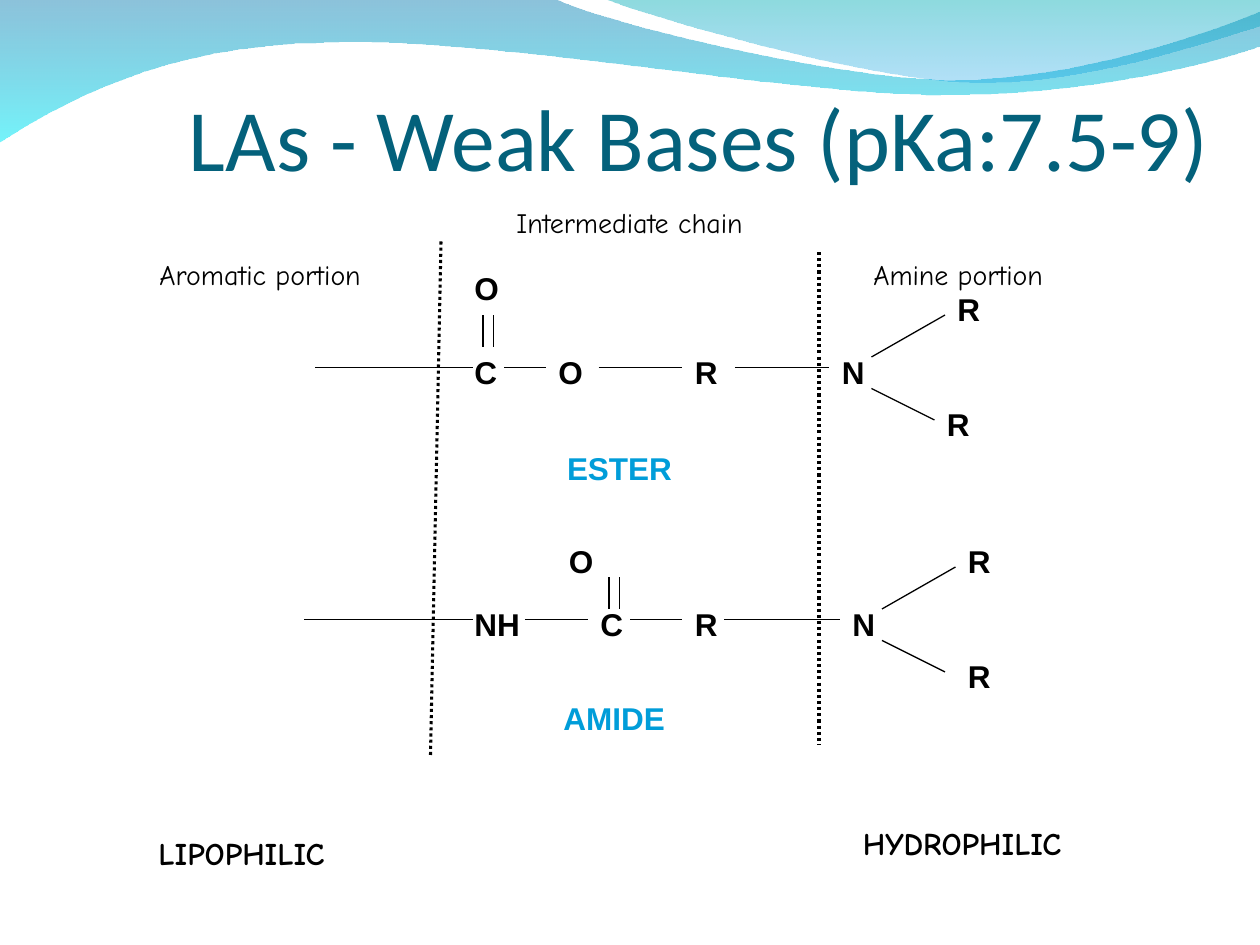
from lxml import etree
from pptx import Presentation
from pptx.dml.color import RGBColor
from pptx.enum.dml import MSO_LINE
from pptx.enum.shapes import MSO_CONNECTOR
from pptx.enum.text import MSO_ANCHOR, PP_ALIGN
from pptx.oxml.ns import qn
from pptx.util import Cm, Pt

STRAIGHT = MSO_CONNECTOR.STRAIGHT
DOTTED = MSO_LINE.ROUND_DOT
BOTTOM = MSO_ANCHOR.BOTTOM
LEFT, CENTER = PP_ALIGN.LEFT, PP_ALIGN.CENTER

BLACK, TEAL, BLUE = "000000", "04617B", "009DD9"
ATOM_HEIGHT = 4.8

# Each segment is a line (one point) or a cubic curve (three points), in cm.
BACK_WAVE = [
    [(11.18, -0.03)],
    [(12.09, 0.43), (16.87, 1.6), (19.25, 1.6)],
    [(21.67, 1.6), (24.33, 0.66), (25.4, 0.23)],
    [(25.43, 0.91)],
    [(24.97, 1.12), (22.1, 1.93), (18.95, 1.91)],
    [(15.8, 1.91), (9.7, 0.71), (6.53, 0.86)],
    [(3.28, 0.89), (1.17, 2.11), (-0.03, 2.87)],
]
FRONT_WAVE = [
    [(12.93, 0.28), (17.32, 1.57), (19.53, 1.65)],
    [(21.74, 1.75), (24.41, 0.81), (25.4, 0.53)],
    [(25.4, 0)],
]


def color(hex_string):
    return RGBColor.from_string(hex_string)


def grid(steps):
    """Length of a number of grid steps, 12 to the inch."""
    return Cm(steps * 2.54 / 12)


def bend_sides(shape, segments):
    """Turn the straight sides that have control points into cubic curves."""
    sides = list(shape.element.spPr.iter(qn("a:lnTo")))
    for side, segment in zip(sides, segments):
        if len(segment) == 1:
            continue
        side.tag = qn("a:cubicBezTo")
        for index, (x, y) in enumerate(segment[:-1]):
            point = side.makeelement(qn("a:pt"), {"x": str(Cm(x) - shape.left),
                                                  "y": str(Cm(y) - shape.top)})
            side.insert(index, point)


def add_wave(page, start, segments, stops):
    """Fill an outline from top to bottom; stops are (colour, opacity in percent)."""
    builder = page.shapes.build_freeform(Cm(start[0]), Cm(start[1]), scale=1.0)
    corners = [segment[-1] for segment in segments]
    builder.add_line_segments([(Cm(x), Cm(y)) for x, y in corners], close=True)
    wave = builder.convert_to_shape()
    bend_sides(wave, segments)
    wave.shadow.inherit = False
    wave.line.fill.background()
    wave.fill.gradient()
    wave.fill.gradient_angle = 270
    for stop, (shade, _) in zip(wave.fill.gradient_stops, stops):
        stop.color.rgb = color(shade)
    for node, (_, opacity) in zip(wave.element.spPr.iter(qn("a:srgbClr")), stops):
        etree.SubElement(node, qn("a:alpha")).set("val", str(opacity * 1000))


def add_text(page, box, text, size=18, font="Arial", shade=BLACK, bold=True, align=LEFT):
    shape = page.shapes.add_textbox(*map(grid, box))
    frame = shape.text_frame
    frame.word_wrap = True
    para = frame.paragraphs[0]
    para.text = text
    para.alignment = align
    para.font.size = Pt(size)
    para.font.name = font
    para.font.bold = bold
    para.font.color.rgb = color(shade)
    return frame


def add_line(page, start, end, width=0.75, dash=None):
    line = page.shapes.add_connector(STRAIGHT, *map(grid, (*start, *end)))
    line.line.color.rgb = color(BLACK)
    line.line.width = Pt(width)
    if dash:
        line.line.dash_style = dash
    etree.SubElement(line.element.spPr, qn("a:effectLst"))


def add_double_bond(page, x, bottom):
    for offset in (0, 1):
        add_line(page, (x + offset, bottom), (x + offset, bottom - 3))


def add_amine_branches(page, left, top, branches):
    """Two R branches of the nitrogen whose box has the given corner."""
    add_line(page, (left + 4, top + 1), (left + 11, top - 3))
    add_line(page, (left + 4, top + 4), (left + 10, top + 7))
    for x, y, width in branches:
        add_text(page, (left + x, top + y, width, ATOM_HEIGHT), "R")


def add_molecule(page, left, top, atoms, bonds, oxygen, double_bond, branches):
    """Draw a chain ending in nitrogen; positions are offsets from its left and top."""
    for symbol, offset, width in atoms:
        add_text(page, (left + offset, top, width, ATOM_HEIGHT), symbol)
    for begin, end in bonds:
        add_line(page, (left + begin, top + 2), (left + end, top + 2))
    x, y, width = oxygen
    add_text(page, (left + x, top + y, width, ATOM_HEIGHT), "O")
    add_double_bond(page, left + double_bond[0], top + double_bond[1])
    add_amine_branches(page, left + atoms[-1][1], top, branches)


def add_background(page):
    add_wave(page, (0, -0.03), BACK_WAVE, [("0079AF", 45), ("00EBF8", 55)])
    add_wave(page, (12.17, -0.03), FRONT_WAVE, [("00ADB6", 45), ("009BE5", 30)])


def add_title(page, box):
    frame = add_text(page, box, "LAs - Weak Bases (pKa:7.5-9)", 50, "Calibri", TEAL, False)
    frame.vertical_anchor = BOTTOM
    frame.margin_left = frame.margin_right = frame.margin_bottom = 0


def add_labels(page):
    for box, text in (((14, 23.9, 25, 4.4), "Aromatic portion"),
                      ((82, 23.9, 24, 4.4), "Amine portion"),
                      ((48, 19, 29, 4.4), "Intermediate chain")):
        add_text(page, box, text, 16, "Comic Neue", bold=False)
    for box, text in (((48, 42.2, 22, 4.8), "ESTER"), ((49, 66, 19, 4.8), "AMIDE")):
        add_text(page, box, text, shade=BLUE, align=CENTER)
    add_text(page, (10, 78.87, 26, 4.8), "LIPOPHILIC", font="Comic Neue", align=CENTER)
    add_text(page, (81, 77.9, 25, 4.8), "HYDROPHILIC", font="Comic Neue")


def add_dividers(page):
    add_line(page, (42, 23), (41, 72), 1.75, DOTTED)
    add_line(page, (78, 24), (78, 71), 1.75, DOTTED)


def main():
    deck = Presentation()
    deck.slide_width, deck.slide_height = Cm(25.4), Cm(19.05)
    page = deck.slides.add_slide(deck.slide_layouts[6])
    add_background(page)
    add_title(page, (18, 3, 102, 15))
    add_molecule(page, 30, 33,
                 atoms=[("C", 14, 5), ("O", 22, 5), ("R", 35, 7), ("N", 49, 8)],
                 bonds=[(0, 15), (18, 22), (27, 35), (40, 49)],
                 oxygen=(14, -8, 8), double_bond=(16, 0),
                 branches=[(11, -6, 8), (10, 5, 8)])
    add_dividers(page)
    add_molecule(page, 29, 57,
                 atoms=[("NH", 15, 7.2), ("C", 27, 4.6), ("R", 36, 6), ("N", 51, 5)],
                 bonds=[(0, 16), (21, 27), (31, 36), (40, 51)],
                 oxygen=(24, -6, 3), double_bond=(29, 1),
                 branches=[(11, -6, 5), (11, 5, 4)])
    add_labels(page)
    deck.save("out.pptx")


if __name__ == "__main__":
    main()
